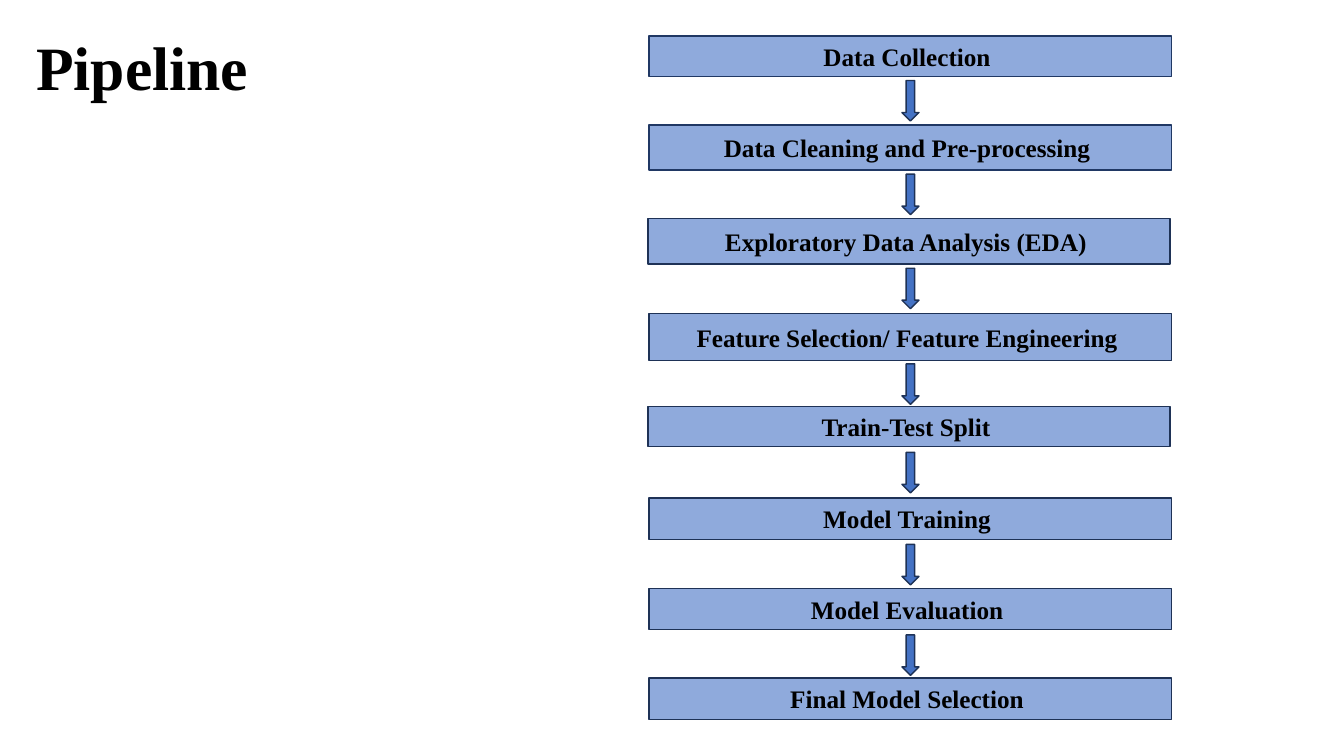
from pptx import Presentation
from pptx.dml.color import RGBColor
from pptx.enum.shapes import MSO_SHAPE
from pptx.enum.text import MSO_ANCHOR, MSO_AUTO_SIZE, PP_ALIGN
from pptx.util import Cm, Pt

RECTANGLE = MSO_SHAPE.RECTANGLE
DOWN_ARROW = MSO_SHAPE.DOWN_ARROW
MIDDLE = MSO_ANCHOR.MIDDLE
NO_AUTOFIT = MSO_AUTO_SIZE.NONE
LEFT, CENTER = PP_ALIGN.LEFT, PP_ALIGN.CENTER

FONT = "Times New Roman"
BLACK = "000000"
STEP_FILL = "8FAADC"
ARROW_FILL = "4472C4"
DARK_LINE = "1E3256"
NAVY_LINE = "203864"

# Lengths in centimetres
STEP_WIDTH = 13.16
ARROW_LEFT, ARROW_WIDTH, ARROW_HEIGHT = 22.73, 0.43, 1.02

# Step text, left, top, height, outline, top of the arrow below
STEPS = [
    ("Data Collection ", 16.36, 0.91, 1.02, NAVY_LINE, 2.03),
    ("Data Cleaning and Pre-processing ", 16.36, 3.15, 1.14, NAVY_LINE, 4.39),
    ("Exploratory Data Analysis (EDA) ", 16.33, 5.51, 1.14, DARK_LINE, 6.76),
    ("Feature Selection/ Feature Engineering ", 16.36, 7.9, 1.19, DARK_LINE, 9.17),
    ("Train-Test Split ", 16.33, 10.24, 1.02, DARK_LINE, 11.4),
    ("Model Training ", 16.36, 12.55, 1.04, DARK_LINE, 13.72),
    ("Model Evaluation ", 16.36, 14.83, 1.04, DARK_LINE, 16.0),
    ("Final Model Selection ", 16.36, 17.09, 1.04, DARK_LINE, None),
]


def color(hex_string):
    return RGBColor.from_string(hex_string)


def write_text(shape, text, size, alignment):
    frame = shape.text_frame
    frame.text = text
    frame.word_wrap = True
    frame.auto_size = NO_AUTOFIT
    frame.vertical_anchor = MIDDLE
    paragraph = frame.paragraphs[0]
    paragraph.alignment = alignment
    paragraph.font.name = FONT
    paragraph.font.size = Pt(size)
    paragraph.font.bold = True
    paragraph.font.color.rgb = color(BLACK)
    return paragraph


def add_title(slide, text):
    title = slide.shapes.title
    title.left, title.top = Cm(0.66), Cm(0.48)
    title.width, title.height = Cm(29.21), Cm(2.59)
    write_text(title, text, 44, LEFT).line_spacing = 0.9


def add_block(group, kind, left, top, width, height, fill, line):
    shape = group.shapes.add_shape(kind, Cm(left), Cm(top), Cm(width), Cm(height))
    shape.shadow.inherit = False
    shape.fill.solid()
    shape.fill.fore_color.rgb = color(fill)
    shape.line.color.rgb = color(line)
    shape.line.width = Pt(1)
    return shape


def add_step(group, text, left, top, height, line):
    step = add_block(group, RECTANGLE, left, top, STEP_WIDTH, height, STEP_FILL, line)
    write_text(step, text, 18, CENTER)


def add_arrow(group, top):
    add_block(group, DOWN_ARROW, ARROW_LEFT, top, ARROW_WIDTH, ARROW_HEIGHT,
              ARROW_FILL, DARK_LINE)


def main():
    presentation = Presentation()
    presentation.slide_width = Cm(33.87)
    presentation.slide_height = Cm(19.05)
    slide = presentation.slides.add_slide(presentation.slide_layouts[5])

    # Heading
    add_title(slide, "Pipeline")

    # Flowchart
    flowchart = slide.shapes.add_group_shape()
    for text, left, top, height, line, arrow_top in STEPS:
        add_step(flowchart, text, left, top, height, line)
        if arrow_top is not None:
            add_arrow(flowchart, arrow_top)

    presentation.save("out.pptx")


if __name__ == "__main__":
    main()
